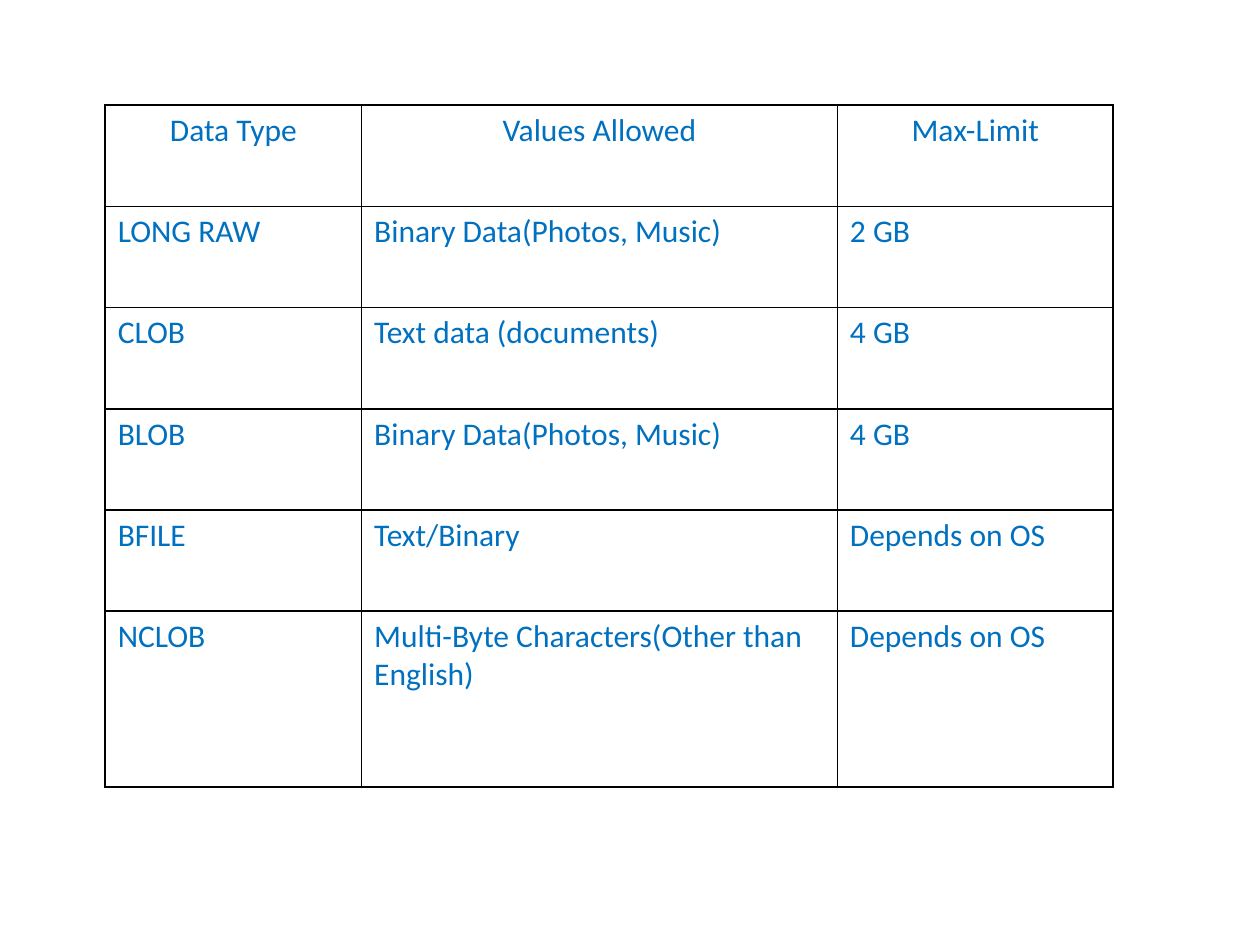
"""Build a slide with a table of large-object data types and their limits."""
import dataclasses

import lxml.etree
import pptx
import pptx.dml.color
import pptx.enum.text
import pptx.oxml.ns
import pptx.table
import pptx.util

Cm = pptx.util.Cm
Pt = pptx.util.Pt
qn = pptx.oxml.ns.qn

COLORS = {"text": "0070C0", "border": "000000"}
FONT = "Calibri"
COLUMN_WIDTHS = (5.17, 9.59, 5.56)
ROW_HEIGHT = 2.04
LAST_ROW_HEIGHT = 3.54


@dataclasses.dataclass
class DataType:
    name: str
    values: str
    limit: str


ROWS = (
    DataType("Data Type", "Values Allowed", "Max-Limit"),
    DataType("LONG RAW", "Binary Data(Photos, Music)", "2 GB"),
    DataType("CLOB", "Text data (documents)", "4 GB"),
    DataType("BLOB", "Binary Data(Photos, Music)", "4 GB"),
    DataType("BFILE", "Text/Binary", "Depends on OS"),
    DataType("NCLOB", "Multi-Byte Characters(Other than English)", "Depends on OS"),
)


def add_borders(cell: pptx.table._Cell) -> None:
    tc_pr = cell._tc.get_or_add_tcPr()
    for i, side in enumerate(("lnL", "lnR", "lnT", "lnB")):
        ln = lxml.etree.Element(qn(f"a:{side}"), w=str(Pt(1)))
        fill = lxml.etree.SubElement(ln, qn("a:solidFill"))
        lxml.etree.SubElement(fill, qn("a:srgbClr"), val=COLORS["border"])
        tc_pr.insert(i, ln)


def fill_cell(cell: pptx.table._Cell, text: str, is_header: bool) -> None:
    align = pptx.enum.text.PP_ALIGN
    cell.fill.background()
    add_borders(cell)
    cell.text_frame.text = text
    p = cell.text_frame.paragraphs[0]
    p.alignment = align.CENTER if is_header else align.LEFT
    font = p.runs[0].font
    font.name = FONT
    font.size = Pt(18)
    font.bold = False
    font.color.rgb = pptx.dml.color.RGBColor.from_string(COLORS["text"])


def main() -> None:
    prs = pptx.Presentation()
    prs.slide_width, prs.slide_height = Cm(25.4), Cm(19.05)
    s = prs.slides.add_slide(prs.slide_layouts[6])
    heights = [ROW_HEIGHT] * (len(ROWS) - 1) + [LAST_ROW_HEIGHT]
    table = s.shapes.add_table(
        len(ROWS), len(COLUMN_WIDTHS), Cm(2.12), Cm(2.12),
        Cm(sum(COLUMN_WIDTHS)), Cm(sum(heights)),
    ).table
    table.first_row = table.horz_banding = False
    for column, width in zip(table.columns, COLUMN_WIDTHS):
        column.width = Cm(width)
    for i, (data_type, height) in enumerate(zip(ROWS, heights)):
        table.rows[i].height = Cm(height)
        for j, text in enumerate(dataclasses.astuple(data_type)):
            fill_cell(table.cell(i, j), text, is_header=i == 0)
    prs.save("out.pptx")


if __name__ == "__main__":
    main()
